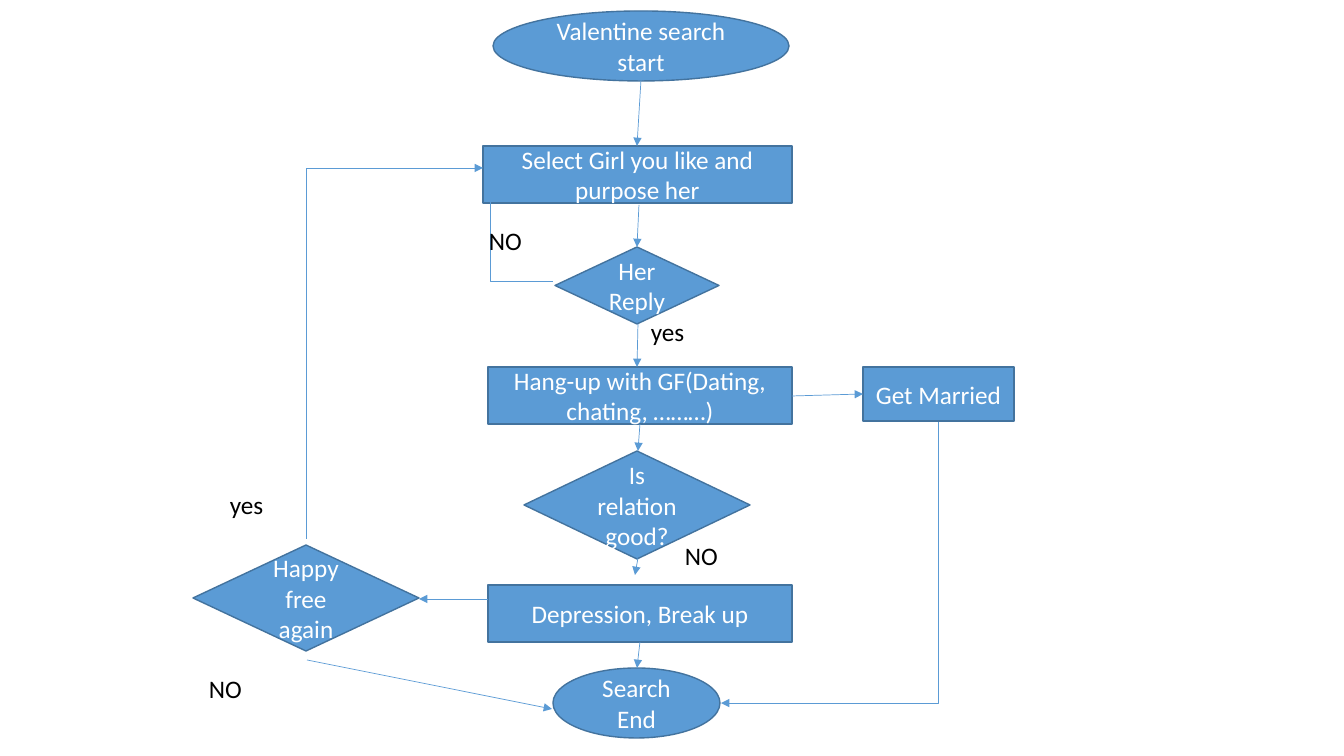
from pptx import Presentation
from pptx import util as u
from pptx.dml.color import RGBColor
from pptx.enum import shapes, text
from pptx.oxml.ns import qn
from lxml import etree

PX = 914400 / 100.8
BLUE = RGBColor(0x5B, 0x9B, 0xD5)
DARK_BLUE = RGBColor(0x43, 0x73, 0x9E)
WHITE = RGBColor(0xFF, 0xFF, 0xFF)
BLACK = RGBColor(0, 0, 0)
FONT, TEXT_SIZE = "Calibri", 18
CHART_BOX = (193, 11, 821, 727)

OVAL = shapes.MSO_SHAPE.OVAL
RECTANGLE = shapes.MSO_SHAPE.RECTANGLE
DECISION = shapes.MSO_SHAPE.FLOWCHART_DECISION
PROCESS = shapes.MSO_SHAPE.FLOWCHART_PROCESS

# Positions below are relative to the flowchart box
STEPS = [
    (OVAL, "Valentine search\nstart", 300, 0, 296, 70),
    (RECTANGLE, "Select Girl you like and purpose her", 290, 135, 309, 57),
    (DECISION, "Is relation good?", 331, 440, 226, 108),
    (RECTANGLE, "Hang-up with GF(Dating, chating, ………)", 295, 356, 304, 57),
    (DECISION, "Her Reply", 362, 236, 164, 77),
    (RECTANGLE, "Depression, Break up", 295, 574, 304, 57),
    (OVAL, "Search End", 360, 657, 167, 70),
    (DECISION, "Happy free again", 0, 534, 226, 106),
    (PROCESS, "Get Married", 670, 356, 151, 54),
]
STRAIGHT_ARROWS = [
    (448, 69, 444, 135),   # start to select
    (446, 194, 444, 236),  # select to reply
    (445, 313, 444, 356),  # reply to hang-up
    (447, 413, 445, 440),  # hang-up to relation
    (445, 547, 442, 564),  # relation to depression
    (447, 631, 444, 657),  # depression to end
    (295, 588, 226, 588),  # depression to happy
    (599, 385, 670, 383),  # hang-up to married
    (114, 649, 359, 698),  # happy to end
]
DOWN_OR_UP_FIRST = [
    (745, 411, 528, 692),  # married to end
    (113, 528, 290, 157),  # happy back to select
]
SIDEWAYS_FIRST = [(360, 270, 297, 166)]  # reply back to select
ANSWERS = [("yes", 448, 300), ("NO", 482, 524), ("NO", 6, 657),
           ("NO", 286, 209), ("yes", 27, 473)]


def emu(pixels):
    return u.Emu(round(pixels * PX))


def write(shape, words, color, align):
    frame = shape.text_frame
    frame.text = words
    frame.word_wrap = True
    for paragraph in frame.paragraphs:
        paragraph.alignment = align
        for run in paragraph.runs:
            run.font.name = FONT
            run.font.size = u.Pt(TEXT_SIZE)
            run.font.color.rgb = color


def draw_steps(slide, left, top):
    for kind, words, x, y, width, height in STEPS:
        step = slide.shapes.add_shape(
            kind, emu(left + x), emu(top + y), emu(width), emu(height))
        step.shadow.inherit = False
        step.fill.solid()
        step.fill.fore_color.rgb = BLUE
        step.line.color.rgb = DARK_BLUE
        step.line.width = u.Pt(1)
        write(step, words, WHITE, text.PP_ALIGN.CENTER)
        step.text_frame.vertical_anchor = text.MSO_ANCHOR.MIDDLE


def add_arrow(slide, kind, ends):
    arrow = slide.shapes.add_connector(kind, *map(emu, ends))
    arrow.line.color.rgb = BLUE
    arrow.line.width = u.Pt(0.5)
    properties = arrow._element.spPr
    etree.SubElement(properties.find(qn("a:ln")), qn("a:tailEnd"), type="triangle")
    etree.SubElement(properties, qn("a:effectLst"))
    return properties


def add_bent_arrow(slide, ends, vertical_first):
    if vertical_first:
        # Turn the ends back a quarter about their middle, then rotate the connector
        x1, y1, x2, y2 = ends
        mid_x, mid_y = (x1 + x2) / 2, (y1 + y2) / 2
        half_x, half_y = (x2 - x1) / 2, (y2 - y1) / 2
        ends = (mid_x - half_y, mid_y + half_x, mid_x + half_y, mid_y - half_x)
    properties = add_arrow(slide, shapes.MSO_CONNECTOR.ELBOW, ends)
    properties.find(qn("a:prstGeom")).set("prst", "bentConnector2")
    if vertical_first:
        properties.find(qn("a:xfrm")).set("rot", "5400000")


def draw_arrows(slide, left, top):
    def shift(ends):
        x1, y1, x2, y2 = ends
        return left + x1, top + y1, left + x2, top + y2

    for ends in STRAIGHT_ARROWS:
        add_arrow(slide, shapes.MSO_CONNECTOR.STRAIGHT, shift(ends))
    for ends in DOWN_OR_UP_FIRST:
        add_bent_arrow(slide, shift(ends), True)
    for ends in SIDEWAYS_FIRST:
        add_bent_arrow(slide, shift(ends), False)


def draw_answers(slide, left, top):
    for words, x, y in ANSWERS:
        answer = slide.shapes.add_textbox(
            emu(left + x), emu(top + y), emu(302), emu(40))
        write(answer, words, BLACK, text.PP_ALIGN.LEFT)


def draw_flowchart(slide, box):
    left, top = box[:2]
    draw_steps(slide, left, top)
    draw_arrows(slide, left, top)
    draw_answers(slide, left, top)


presentation = Presentation()
presentation.slide_width = emu(1344)
presentation.slide_height = emu(756)
flowchart_slide = presentation.slides.add_slide(presentation.slide_layouts[6])
draw_flowchart(flowchart_slide, CHART_BOX)
presentation.save("out.pptx")
